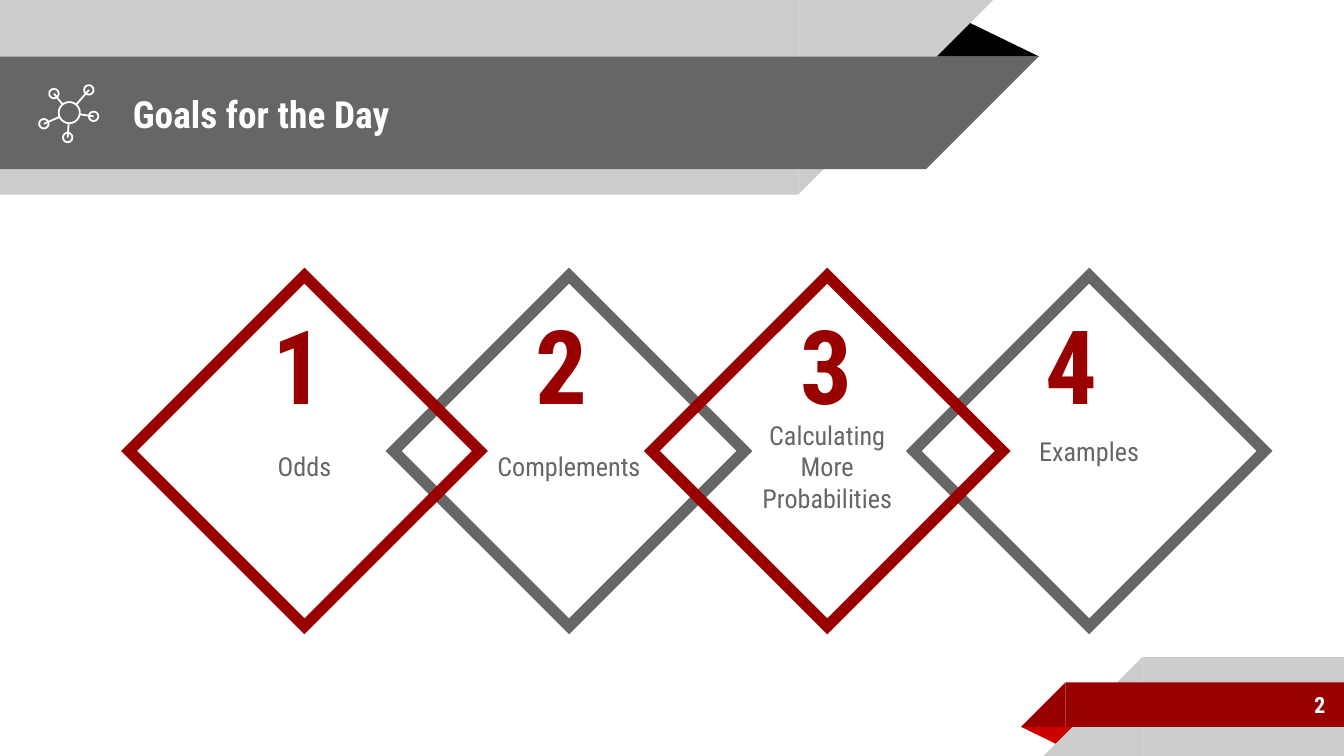
import math

from lxml import etree
from pptx import Presentation
from pptx.dml.color import RGBColor
from pptx.enum import shapes as sh, text as tx
from pptx.oxml.ns import qn
from pptx.util import Cm, Pt

WIDTH, HEIGHT = 25.4, 14.29
FONT = "Roboto Condensed"
HUES = {
    "white": "FFFFFF",
    "black": "000000",
    "pale": "CCCCCC",
    "gray": "666666",
    "red": "990000",
    "bright": "CC0000",
}
KIND = sh.MSO_SHAPE
ALIGN = tx.PP_ALIGN
ANCHOR = tx.MSO_ANCHOR


def rgb(hue):
    return RGBColor.from_string(HUES[hue])


class Deck:
    """Holds the shared style and the current slide."""

    def __init__(self):
        self.prs = Presentation()
        self.prs.slide_width, self.prs.slide_height = Cm(WIDTH), Cm(HEIGHT)
        self.slide = self.prs.slides.add_slide(self.prs.slide_layouts[5])
        self.shapes = self.slide.shapes

    def shape(self, kind, box, fill=None, line=None, width=1, flip=None):
        item = self.shapes.add_shape(kind, *map(Cm, box))
        item.shadow.inherit = False
        if fill:
            item.fill.solid()
            item.fill.fore_color.rgb = rgb(fill)
        else:
            item.fill.background()
        if line:
            item.line.color.rgb = rgb(line)
            item.line.width = Pt(width)
        else:
            item.line.fill.background()
        if flip:
            item._element.spPr.find(qn("a:xfrm")).set(flip, "1")
        return item

    def band(self, edge, top, tall, hue, head):
        """Bar from the slide's side to edge, with a slanted end."""
        left, wide = (0, edge) if head else (edge, WIDTH - edge)
        tip = edge if head else edge - tall
        self.shape(KIND.RECTANGLE, (left, top, wide, tall), hue)
        self.shape(KIND.RIGHT_TRIANGLE, (tip, top, tall, tall), hue,
                   flip="flipV" if head else "flipH")

    def fold(self, box, hue, turn=0):
        item = self.shape(KIND.ISOSCELES_TRIANGLE, box, hue)
        item.adjustments[0] = 0.324
        item.rotation = turn

    def words(self, item, copy, size, hue, bold=False, align=ALIGN.LEFT,
              anchor=ANCHOR.MIDDLE, drop=0):
        """Put text in a shape; drop adds to the top inset."""
        frame = item.text_frame
        frame.word_wrap = True
        frame.auto_size = tx.MSO_AUTO_SIZE.NONE
        frame.vertical_anchor = anchor
        frame.margin_left = frame.margin_right = frame.margin_bottom = Cm(0.25)
        frame.margin_top = Cm(0.25 + drop)
        para = frame.paragraphs[0]
        para.alignment = align
        run = para.add_run()
        run.text = copy
        run.font.name, run.font.size, run.font.bold = FONT, Pt(size), bold
        run.font.color.rgb = rgb(hue)

    def label(self, box, copy, size, hue, **style):
        item = self.shapes.add_textbox(*map(Cm, box))
        self.words(item, copy, size, hue, bold=True, **style)

    def title(self, box, copy):
        item = self.shapes.title
        item.left, item.top, item.width, item.height = map(Cm, box)
        self.words(item, copy, 20, "white", bold=True)
        self.shapes._spTree.append(item._element)  # in front of the bands

    def diamond(self, left, copy, hue, fill, drop):
        item = self.shape(KIND.DIAMOND, (left, 5.21, 6.63, 6.63), fill, hue, 6)
        edge = item._element.spPr.find(qn("a:ln"))
        etree.SubElement(edge, qn("a:miter"), lim="800000")
        self.words(item, copy, 14, "gray", align=ALIGN.CENTER, drop=drop)

    def ring(self, x, y, r):
        self.shape(KIND.OVAL, (x - r, y - r, 2 * r, 2 * r), line="white", width=0.96)

    def link(self, *ends):
        item = self.shapes.add_connector(sh.MSO_CONNECTOR.STRAIGHT, *map(Cm, ends))
        item.line.color.rgb = rgb("white")
        item.line.width = Pt(0.96)
        etree.SubElement(item._element.spPr, qn("a:effectLst"))

    def network(self, x, y, r, nodes):
        """Hub ring linked to smaller rings around it."""
        self.ring(x, y, r)
        for a, b in nodes:
            self.ring(a, b, 0.09)
            part = r / math.hypot(a - x, b - y)
            self.link(a, b, x + part * (a - x), y + part * (b - y))


def main():
    deck = Deck()
    deck.fold((17.48, 0.36, 2.16, 0.71), "black")
    deck.band(15.09, 0, 3.68, "pale", head=True)
    deck.band(17.5, 1.07, 2.13, "gray", head=True)
    deck.fold((19.3, 13.74, 1.09, 0.36), "bright", turn=180)
    deck.band(21.59, 12.42, 1.87, "pale", head=False)
    deck.band(20.14, 12.9, 0.84, "red", head=False)

    deck.title((2.26, 1.09, 14.6, 2.13), "Goals for the Day")
    deck.label((21.16, 12.88, 4.14, 0.89), "2", 12, "white", align=ALIGN.RIGHT)
    deck.network(1.31, 2.13, 0.2, [(1.68, 1.7), (1.02, 1.77), (0.83, 2.34),
                                   (1.28, 2.6), (1.77, 2.2)])

    # The gray diamonds lie behind the red ones.
    goals = [
        (7.44, "Complements", "gray", "white", 0.58),
        (2.44, "Odds", "red", None, 0.58),
        (17.27, "Examples", "gray", "white", 0),
        (12.32, "Calculating More Probabilities", "red", None, 0.58),
    ]
    for goal in goals:
        deck.diamond(*goal)
    for count, left in enumerate((4.9, 9.88, 14.88, 19.51), 1):
        deck.label((left, 5.49, 1.37, 2.79), str(count), 55, "red",
                   anchor=ANCHOR.BOTTOM)

    deck.prs.save("out.pptx")


if __name__ == "__main__":
    main()
